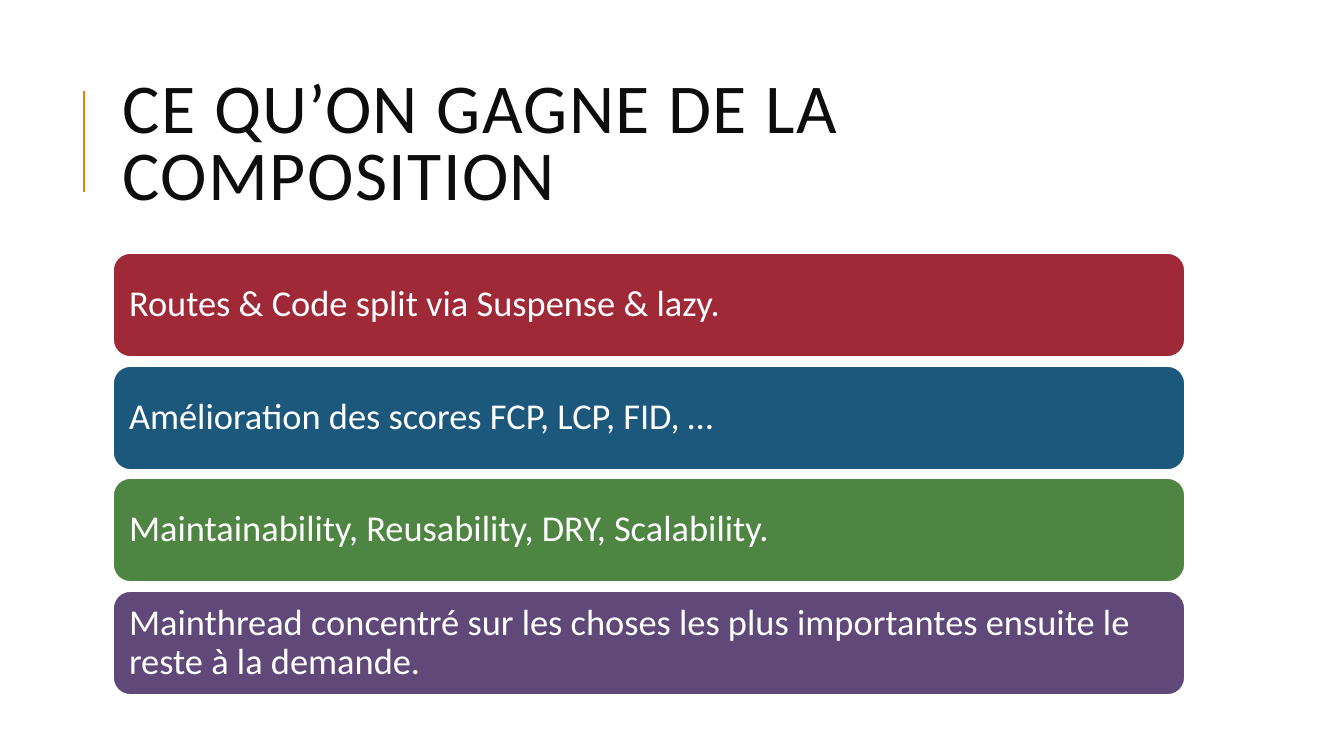
import pptx
import pptx.dml.color
import pptx.enum.shapes
import pptx.enum.text
import pptx.oxml.ns
import pptx.util
from lxml import etree

RGB = pptx.dml.color.RGBColor
WHITE = RGB(0xFF, 0xFF, 0xFF)
INK = RGB(0x0D, 0x0D, 0x0D)
ORANGE = RGB(0xF0, 0x7F, 0x09)
RED = RGB(0x9F, 0x29, 0x36)
BLUE = RGB(0x1B, 0x58, 0x7C)
GREEN = RGB(0x4E, 0x85, 0x42)
PURPLE = RGB(0x60, 0x48, 0x78)

GAINS = [
    ("Routes & Code split via Suspense & lazy.", RED),
    ("Amélioration des scores FCP, LCP, FID, …", BLUE),
    ("Maintainability, Reusability, DRY, Scalability.", GREEN),
    ("Mainthread concentré sur les choses les plus importantes "
     "ensuite le reste à la demande.", PURPLE),
]
LEFT, WIDTH = 113, 1072
BARS_TOP, LAST_BAR_TOP, BAR_HEIGHT = 253, 591, 104


def px(n):
    """Turn pixels (100.8 to the inch) into EMU."""
    return pptx.util.Emu(round(n * 914400 / 100.8))


class Deck:
    FONT = "Calibri"

    def __init__(self, prs):
        self.slide = prs.slides.add_slide(prs.slide_layouts[6])

    def set_text(self, sp, text, size, color, spacing):
        """Fill a shape with one left-aligned, vertically centred paragraph."""
        tf = sp.text_frame
        tf.word_wrap = True
        tf.vertical_anchor = pptx.enum.text.MSO_ANCHOR.MIDDLE
        p = tf.paragraphs[0]
        p.text = text
        p.alignment = pptx.enum.text.PP_ALIGN.LEFT
        p.line_spacing = spacing
        p.font.name = self.FONT
        p.font.size = pptx.util.Pt(size)
        p.font.color.rgb = color
        return p

    def title(self, x, y, w, h, text):
        sp = self.slide.shapes.add_textbox(px(x), px(y), px(w), px(h))
        p = self.set_text(sp, text, 50, INK, 0.8)
        p.runs[0].font._element.set("spc", "100")

    def bar(self, x, y, w, h, text, fill):
        sp = self.slide.shapes.add_shape(
            pptx.enum.shapes.MSO_SHAPE.ROUNDED_RECTANGLE,
            px(x), px(y), px(w), px(h))
        sp.shadow.inherit = False
        sp.fill.solid()
        sp.fill.fore_color.rgb = fill
        sp.line.color.rgb = WHITE
        sp.line.width = pptx.util.Pt(1.25)
        tf = sp.text_frame
        tf.margin_left = tf.margin_right = px(11)
        tf.margin_top = tf.margin_bottom = px(11)
        self.set_text(sp, text, 26, WHITE, 0.9)

    def line(self, x1, y1, x2, y2, color):
        cn = self.slide.shapes.add_connector(
            pptx.enum.shapes.MSO_CONNECTOR.STRAIGHT,
            px(x1), px(y1), px(x2), px(y2))
        cn.line.color.rgb = color
        cn.line.width = pptx.util.Pt(1.5)
        etree.SubElement(cn._element.spPr, pptx.oxml.ns.qn("a:effectLst"))


def main():
    prs = pptx.Presentation()
    prs.slide_width, prs.slide_height = px(1344), px(756)
    deck = Deck(prs)
    deck.line(84, 192, 84, 91, ORANGE)
    deck.title(LEFT, 64, WIDTH, 165, "CE QU’ON GAGNE DE LA COMPOSITION")
    pitch = (LAST_BAR_TOP - BARS_TOP) / (len(GAINS) - 1)
    for i, (text, fill) in enumerate(GAINS):
        deck.bar(LEFT, round(BARS_TOP + i * pitch), WIDTH, BAR_HEIGHT, text, fill)
    prs.save("out.pptx")


if __name__ == "__main__":
    main()
